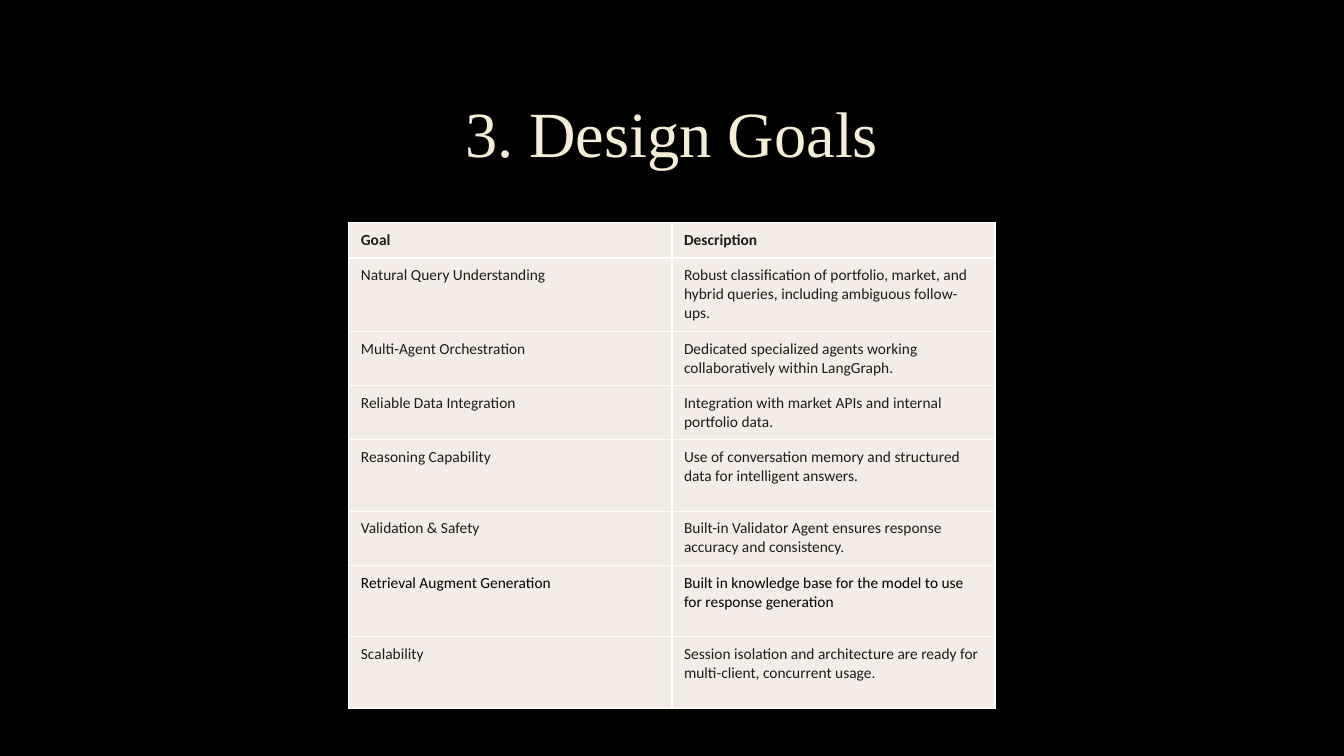
from lxml import etree
from pptx import Presentation
from pptx.dml.color import RGBColor
from pptx.enum import text
from pptx.oxml import ns
from pptx.util import Inches, Pt

TITLE = "3. Design Goals"
INK, BLACK, CREAM, PANEL, RULE = "1B1C1D", "000000", "F4EDD8", "F4ECE8", "FFFFFF"

# Goal, description, row height in inches, text colour
GOALS = [
    ("Goal", "Description", 0.35, INK),
    ("Natural Query Understanding",
     "Robust classification of portfolio, market, and hybrid queries, "
     "including ambiguous follow-ups.", 0.71, INK),
    ("Multi-Agent Orchestration",
     "Dedicated specialized agents working collaboratively within LangGraph.", 0.53, INK),
    ("Reliable Data Integration",
     "Integration with market APIs and internal portfolio data.", 0.53, INK),
    ("Reasoning Capability",
     "Use of conversation memory and structured data for intelligent answers.", 0.71, INK),
    ("Validation & Safety",
     "Built-in Validator Agent ensures response accuracy and consistency.", 0.53, INK),
    ("Retrieval Augment Generation",
     "Built in knowledge base for the model to use for response generation", 0.71, BLACK),
    ("Scalability",
     "Session isolation and architecture are ready for multi-client, "
     "concurrent usage.", 0.71, INK),
]
COLUMN_WIDTH = 3.205


def paint(target, color):
    """Give a fill a solid colour."""
    target.solid()
    target.fore_color.rgb = RGBColor.from_string(color)


def line_xml(tag, color, points, alpha=100):
    """Build a solid line element for a cell edge or a text outline."""
    line = etree.Element(ns.qn(tag), w=str(Pt(points)))
    fill = etree.SubElement(line, ns.qn("a:solidFill"))
    rgb = etree.SubElement(fill, ns.qn("a:srgbClr"), val=color)
    if alpha < 100:
        etree.SubElement(rgb, ns.qn("a:alpha"), val=str(alpha * 1000))
    return line


def style_font(font, name, size, color, bold=False):
    font.name, font.size, font.bold = name, Pt(size), bold
    paint(font.fill, color)


def fill_cell(cell, wording, color, header):
    cell.text = wording
    cell.margin_left = cell.margin_right = Inches(0.12)
    cell.margin_top = cell.margin_bottom = Inches(0.08)
    paint(cell.fill, PANEL)
    paragraph = cell.text_frame.paragraphs[0]
    paragraph.space_before = Pt(6 if header else 0)
    paragraph.space_after = Pt(6 if header else 12)
    style_font(paragraph.font, "Calibri", 11, color, header)
    # Edges come before the fill
    properties = cell._tc.get_or_add_tcPr()
    for place, edge in enumerate(("a:lnL", "a:lnR", "a:lnT", "a:lnB")):
        properties.insert(place, line_xml(edge, RULE, 1))


def main():
    deck = Presentation()
    deck.slide_width, deck.slide_height = Inches(13.33), Inches(7.5)
    slide = deck.slides.add_slide(deck.slide_layouts[5])
    paint(slide.background.fill, BLACK)

    # Title
    title = slide.shapes.title
    title.left, title.top = Inches(1), Inches(0.67)
    title.width, title.height = Inches(11.32), Inches(1.38)
    title.text_frame.text = TITLE
    title.text_frame.vertical_anchor = text.MSO_ANCHOR.MIDDLE
    heading = title.text_frame.paragraphs[0]
    heading.alignment = text.PP_ALIGN.CENTER
    heading.line_spacing = 0.9
    heading_run = heading.runs[0]
    style_font(heading_run.font, "Times New Roman", 46, CREAM)
    heading_run._r.get_or_add_rPr().insert(0, line_xml("a:ln", "404040", 0.75, 10))

    # Goals table
    height = sum(goal[2] for goal in GOALS)
    goals = slide.shapes.add_table(len(GOALS), 2, Inches(3.46), Inches(2.21),
                                   Inches(2 * COLUMN_WIDTH), Inches(height)).table
    for index, (goal, description, row_height, color) in enumerate(GOALS):
        goals.rows[index].height = Inches(row_height)
        for column, wording in enumerate((goal, description)):
            fill_cell(goals.cell(index, column), wording, color, header=index == 0)

    deck.save("out.pptx")


if __name__ == "__main__":
    main()
